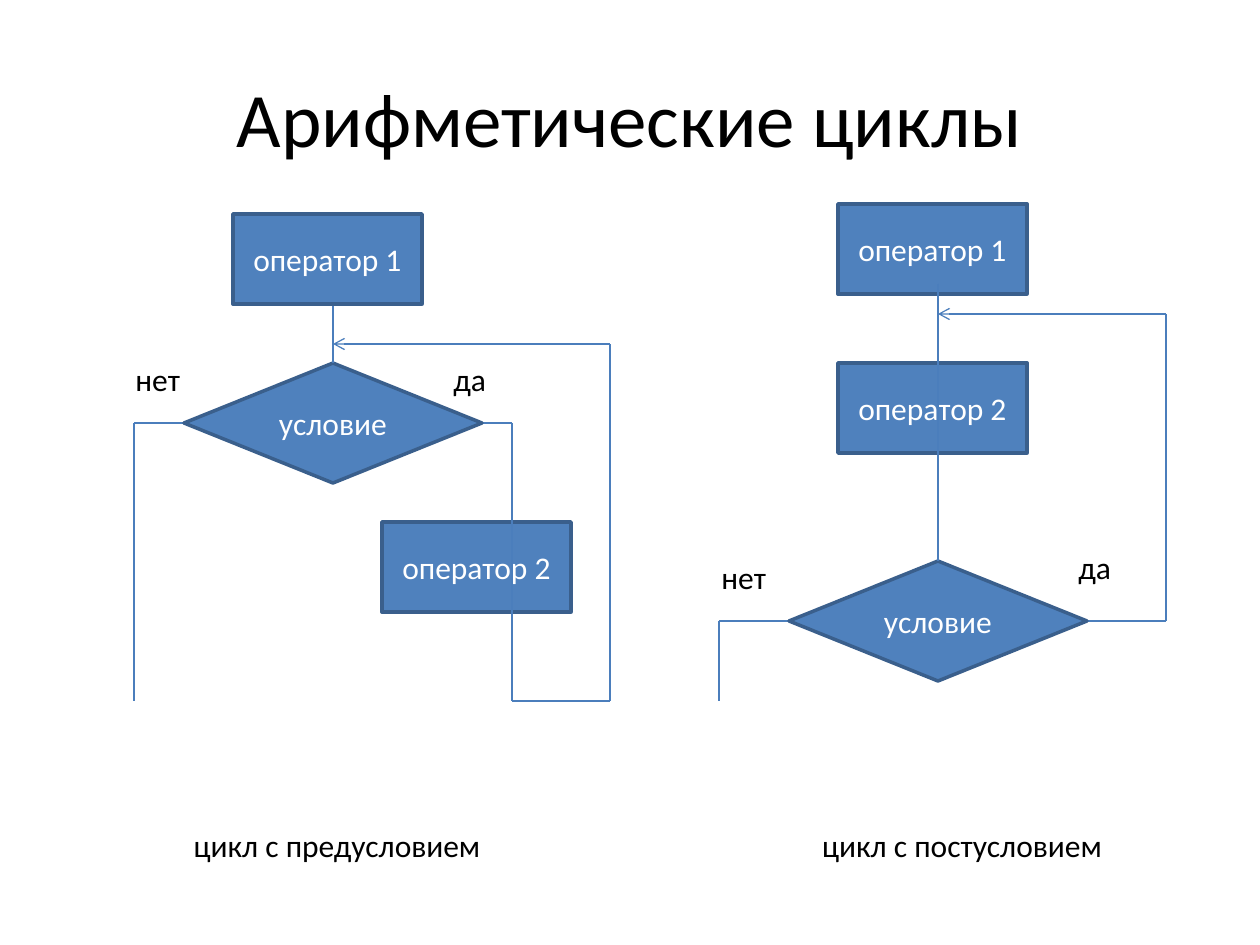
from lxml.etree import SubElement
from pptx import Presentation
from pptx.dml.color import RGBColor
from pptx.enum.shapes import MSO_CONNECTOR, MSO_SHAPE
from pptx.enum.text import MSO_ANCHOR, PP_ALIGN
from pptx.oxml.ns import qn
from pptx.util import Pt

EMU_PER_PX = 914400 / 126
COLORS = {"fill": "4F81BD", "outline": "3A5F8C", "line": "4B7EBC",
          "light": "FFFFFF", "dark": "000000"}
PROCESS, DECISION = MSO_SHAPE.FLOWCHART_PROCESS, MSO_SHAPE.FLOWCHART_DECISION
SIZES = {PROCESS: (189, 90), DECISION: (298, 120)}
TOP_SIDE = 0

TITLE = ("Арифметические циклы", (63, 38, 1134, 157))
CAPTION_TOP, CAPTION_WIDTH, LABEL_WIDTH, LABEL_HEIGHT = 820, 546, 79, 50

# Blocks: key, kind, text, left, top.
# Lines: start point, end point or key of the block whose top it reaches, arrow.
FLOWS = [
    {
        "caption": ("цикл с предусловием", 64),
        "back_lines": [((512, 423), (134, 423), False)],
        "blocks": [("body", PROCESS, "оператор 2", 382, 522),
                   ("test", DECISION, "условие", 184, 363)],
        "lines": [((333, 294), "test", False),
                  ((512, 423), (512, 701), False),
                  ((134, 423), (134, 701), False),
                  ((512, 701), (610, 701), False),
                  ((610, 701), (610, 344), False),
                  ((610, 344), (333, 344), True)],
        "front_blocks": [("start", PROCESS, "оператор 1", 233, 214)],
        "labels": [("да", 441, 354), ("нет", 123, 354)],
    },
    {
        "caption": ("цикл с постусловием", 689),
        "back_lines": [((1166, 621), (719, 621), False)],
        "blocks": [("start", PROCESS, "оператор 1", 838, 204),
                   ("body", PROCESS, "оператор 2", 838, 363),
                   ("test", DECISION, "условие", 789, 561)],
        "lines": [((938, 284), "test", False),
                  ((1166, 314), (1166, 621), False),
                  ((719, 621), (719, 701), False),
                  ((1166, 314), (938, 314), True)],
        "front_blocks": [],
        "labels": [("да", 1066, 542), ("нет", 709, 552)],
    },
]


def px(*lengths):
    return [round(length * EMU_PER_PX) for length in lengths]


def color(name):
    return RGBColor.from_string(COLORS[name])


def write(shape, text, size=18, ink="dark", align=PP_ALIGN.LEFT,
          anchor=MSO_ANCHOR.TOP):
    frame = shape.text_frame
    frame.word_wrap = True
    frame.vertical_anchor = anchor
    paragraph = frame.paragraphs[0]
    paragraph.alignment = align
    run = paragraph.add_run()
    run.text = text
    run.font.name = "Calibri"
    run.font.size = Pt(size)
    run.font.color.rgb = color(ink)


def add_text(slide, text, box, **text_format):
    write(slide.shapes.add_textbox(*px(*box)), text, **text_format)


def add_block(slide, kind, text, left, top):
    block = slide.shapes.add_shape(kind, *px(left, top, *SIZES[kind]))
    block.shadow.inherit = False
    block.fill.solid()
    block.fill.fore_color.rgb = color("fill")
    block.line.color.rgb = color("outline")
    block.line.width = Pt(2)
    write(block, text, ink="light", align=PP_ALIGN.CENTER,
          anchor=MSO_ANCHOR.MIDDLE)
    return block


def add_line(slide, blocks, start, end, arrow):
    target = blocks.get(end)
    line = slide.shapes.add_connector(
        MSO_CONNECTOR.STRAIGHT, *px(*start, *(start if target else end)))
    if target:
        line.end_connect(target, TOP_SIDE)
    line.line.color.rgb = color("line")
    line.line.width = Pt(0.75)
    properties = line.line._get_or_add_ln()
    if arrow:
        SubElement(properties, qn("a:tailEnd"), type="arrow")
    SubElement(properties.getparent(), qn("a:effectLst"))


def add_flow(slide, flow):
    blocks = {}
    for layer in ("back_lines", "blocks", "lines", "front_blocks"):
        for item in flow[layer]:
            if layer.endswith("lines"):
                add_line(slide, blocks, *item)
            else:
                key, *details = item
                blocks[key] = add_block(slide, *details)
    for answer, left, top in flow["labels"]:
        add_text(slide, answer, (left, top, LABEL_WIDTH, LABEL_HEIGHT))
    caption, left = flow["caption"]
    add_text(slide, caption, (left, CAPTION_TOP, CAPTION_WIDTH, LABEL_HEIGHT),
             align=PP_ALIGN.CENTER)


def main():
    deck = Presentation()
    deck.slide_width, deck.slide_height = px(1260, 945)
    slide = deck.slides.add_slide(deck.slide_layouts[6])
    add_text(slide, *TITLE, size=44, align=PP_ALIGN.CENTER,
             anchor=MSO_ANCHOR.MIDDLE)
    for flow in FLOWS:
        add_flow(slide, flow)
    deck.save("out.pptx")


if __name__ == "__main__":
    main()
